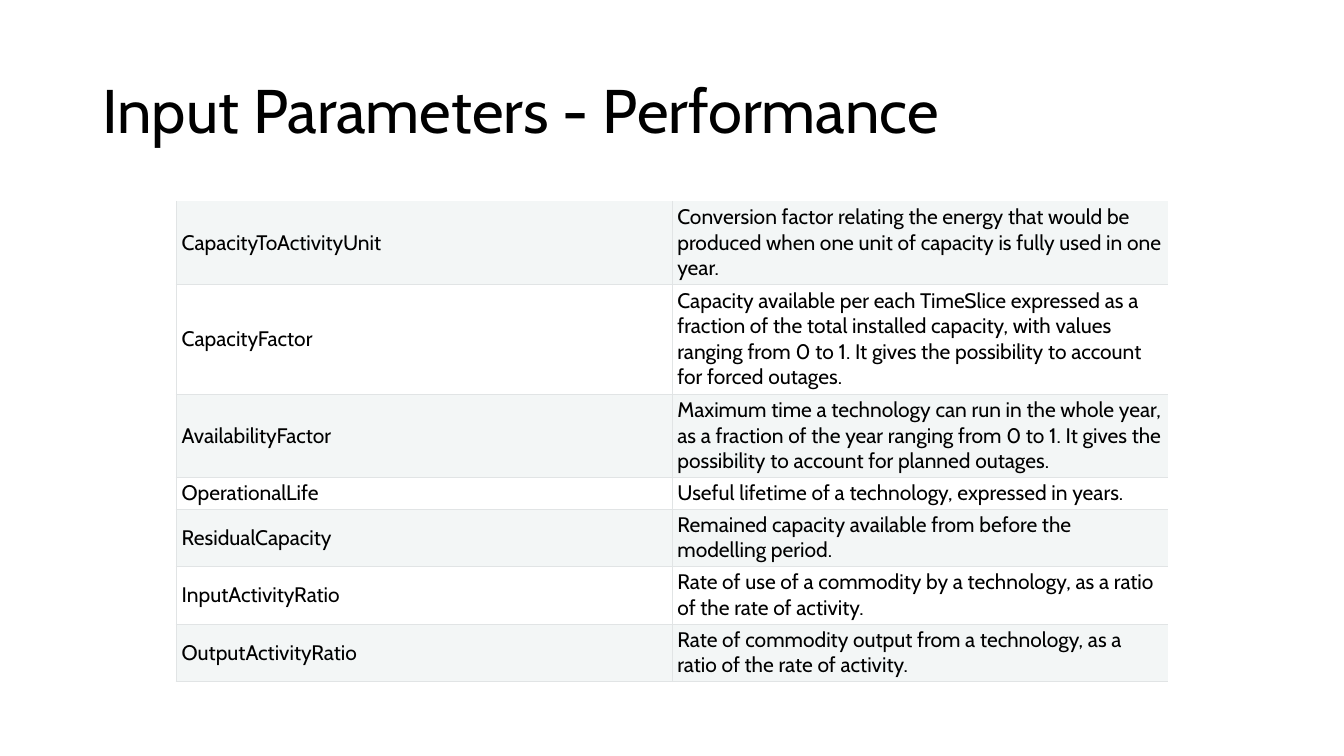
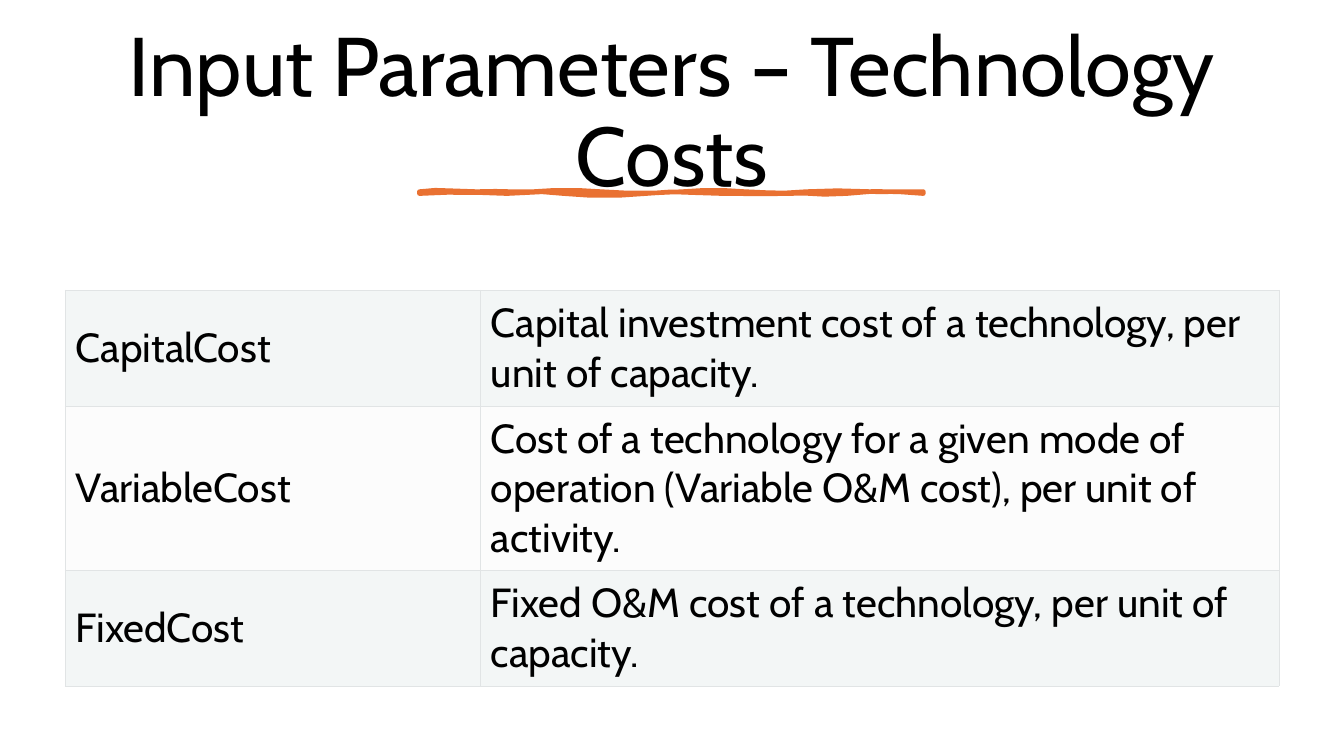
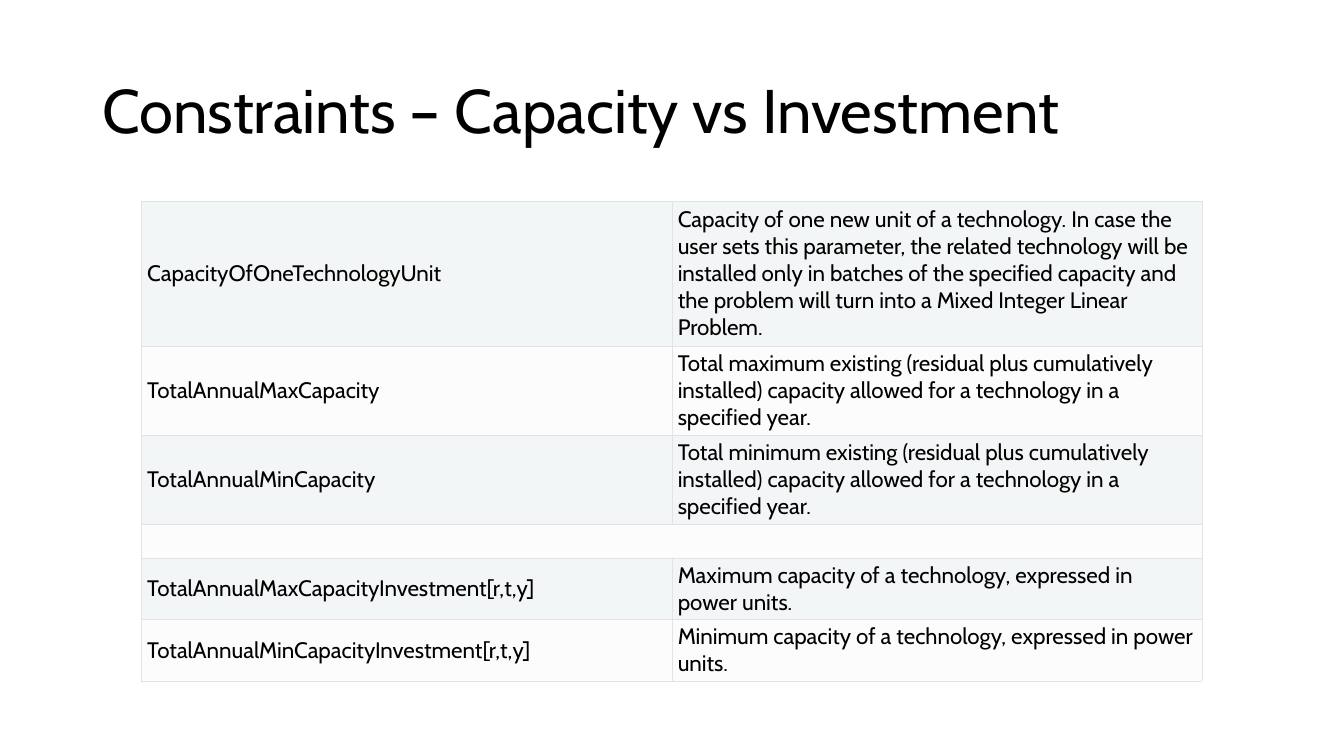
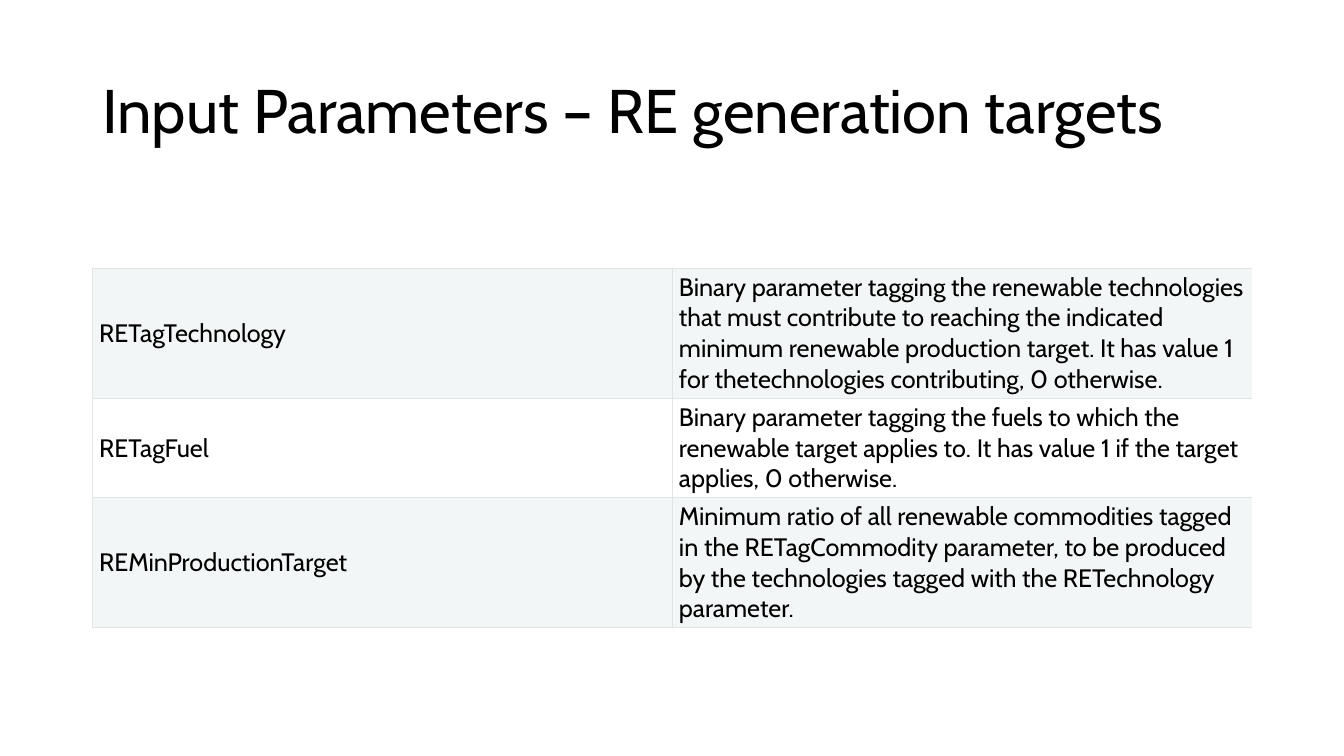
import pptx
import pptx.util
import pptx.dml.color
import pptx.enum.text
import pptx.oxml
import pptx.oxml.ns
from pptx.util import Cm

COLORS = {
    "text": "000000",
    "band": "F3F6F6",
    "plain": "FCFCFC",
    "border": "E1E4E5",
    "accent": "E97132",
}
FONT = "Cabin"
HAIRLINE = 0.3
NS = pptx.oxml.ns.nsdecls("a")
ALIGN = pptx.enum.text.PP_ALIGN
MIDDLE = pptx.enum.text.MSO_ANCHOR.MIDDLE

# Cubic curves in cm: a start point, then two controls and an end for each
UNDERLINE_TOP = [
    (10.57, 4.83),
    (10.87, 4.75), (11.53, 4.83), (12.01, 4.83),
    (12.5, 4.8), (12.93, 4.85), (13.44, 4.83),
    (13.94, 4.78), (14.58, 4.78), (15.14, 4.83),
    (15.67, 4.88), (16.59, 4.88), (17.2, 4.83),
    (17.83, 4.78), (18.14, 4.78), (18.77, 4.83),
    (19.38, 4.85), (19.66, 4.9), (20.32, 4.83),
    (20.98, 4.75), (22.02, 4.88), (23.27, 4.83),
]
UNDERLINE_BOTTOM = [
    (23.27, 4.88),
    (22.73, 4.83), (21.97, 4.78), (21.34, 4.88),
    (20.7, 4.95), (20.35, 4.83), (19.79, 4.88),
    (19.2, 4.9), (18.97, 4.88), (18.21, 4.88),
    (17.45, 4.88), (16.94, 4.78), (16.28, 4.88),
    (15.6, 4.95), (14.86, 4.95), (14.2, 4.88),
    (13.56, 4.78), (13.28, 4.88), (12.78, 4.88),
    (12.27, 4.85), (11.13, 4.83), (10.57, 4.88),
]


def rgb(name):
    return pptx.dml.color.RGBColor.from_string(COLORS[name])


def write(tf, text, size, color="text", align=ALIGN.LEFT, spacing=None):
    """Write one paragraph; empty text only sets the height of the line."""
    p = tf.paragraphs[0]
    if not text:
        p._p.append(pptx.oxml.parse_xml(
            f"<a:endParaRPr {NS} sz='{size * 100}'><a:latin typeface='{FONT}'/></a:endParaRPr>"))
        return
    p.alignment = align
    if spacing:
        p.line_spacing = spacing
    r = p.add_run()
    r.text = text
    r.font.name = FONT
    r.font.size = pptx.util.Pt(size)
    r.font.color.rgb = rgb(color)


def set_border(cell, side, width):
    """Draw one side (L, R, T or B) of a cell; no width means no line."""
    if width:
        attribute = f"w='{pptx.util.Pt(width)}'"
        fill = f"<a:solidFill><a:srgbClr val='{COLORS['border']}'/></a:solidFill>"
    else:
        attribute, fill = "", "<a:noFill/>"
    cell._tc.get_or_add_tcPr().append(pptx.oxml.parse_xml(
        f"<a:ln{side} {NS} {attribute}>{fill}</a:ln{side}>"))


def sample_curve(points, steps=3):
    """Turn a chain of cubic curves into points in EMU."""
    result = [points[0]]
    for i in range(0, len(points) - 1, 3):
        a, b, c, d = points[i:i + 4]
        for n in range(1, steps + 1):
            t = n / steps
            u = 1 - t
            result.append(tuple(
                u ** 3 * a[k] + 3 * u * u * t * b[k] + 3 * u * t * t * c[k] + t ** 3 * d[k]
                for k in (0, 1)))
    return [(Cm(x), Cm(y)) for x, y in result]


class Deck:
    def __init__(self):
        self.prs = pptx.Presentation()
        self.prs.slide_width, self.prs.slide_height = Cm(33.87), Cm(19.05)
        self.s = None

    def slide(self):
        self.s = self.prs.slides.add_slide(self.prs.slide_layouts[6])

    def title(self, text, box=(2.33, 1.01, 29.21, 3.68), size=44, align=ALIGN.LEFT):
        tf = self.s.shapes.add_textbox(*map(Cm, box)).text_frame
        tf.word_wrap = True
        tf.vertical_anchor = MIDDLE
        write(tf, text, size, align=align, spacing=0.9)

    def underline(self):
        start, *rest = sample_curve(UNDERLINE_TOP) + sample_curve(UNDERLINE_BOTTOM)
        builder = self.s.shapes.build_freeform(*start)
        builder.add_line_segments(rest, close=True)
        sp = builder.convert_to_shape()
        sp.shadow.inherit = False
        sp.fill.solid()
        sp.fill.fore_color.rgb = rgb("accent")
        sp.line.color.rgb = rgb("accent")
        sp.line.width = pptx.util.Pt(3.25)

    def table(self, left, top, widths, heights, rows, size, inset=(0.15, 0.08),
              fills=("band", "plain"), edges=(HAIRLINE,) * 4):
        """Fills alternate by row; edges are the outer lines: left, right, top, bottom.

        A row with a single text spans the whole width; a row of empty texts
        keeps only its bottom line.
        """
        frame = self.s.shapes.add_table(
            len(rows), len(widths), Cm(left), Cm(top), Cm(sum(widths)), Cm(sum(heights)))
        table = frame.table
        table.first_row = table.horz_banding = False
        for column, width in zip(table.columns, widths):
            column.width = Cm(width)
        last_row, last_col = len(rows) - 1, len(widths) - 1
        for i, (texts, height) in enumerate(zip(rows, heights)):
            table.rows[i].height = Cm(height)
            spans = len(texts) == 1
            if spans:
                table.cell(i, 0).merge(table.cell(i, last_col))
            open_row = not spans and not any(texts)
            fill = fills[i % 2]
            for j in range(len(widths)):
                cell = table.cell(i, j)
                outer = (j == 0, j == last_col, i == 0, i == last_row)
                for side, is_outer, width in zip("LRTB", outer, edges):
                    if open_row and side != "B":
                        width = None
                    elif not is_outer:
                        width = HAIRLINE
                    set_border(cell, side, width)
                if fill:
                    cell.fill.solid()
                    cell.fill.fore_color.rgb = rgb(fill)
                else:
                    cell.fill.background()
                cell.margin_left = cell.margin_right = Cm(inset[0])
                cell.margin_top = cell.margin_bottom = Cm(inset[1])
                cell.vertical_anchor = MIDDLE
                write(cell.text_frame, texts[j] if j < len(texts) else "", size)


def main():
    deck = Deck()

    deck.slide()
    deck.title("Input Parameters - Performance")
    deck.table(4.44, 5.06, [12.49, 12.5], [2.11, 2.75, 2.11, 0.79, 1.45, 1.45, 1.45], [
        ("CapacityToActivityUnit",
         "Conversion factor relating the energy that would be produced when one unit of "
         "capacity is fully used in one year."),
        ("CapacityFactor",
         "Capacity available per each TimeSlice expressed as a fraction of the total "
         "installed capacity, with values ranging from 0 to 1. It gives the possibility "
         "to account for forced outages."),
        ("AvailabilityFactor",
         "Maximum time a technology can run in the whole year, as a fraction of the year "
         "ranging from 0 to 1. It gives the possibility to account for planned outages."),
        ("OperationalLife", "Useful lifetime of a technology, expressed in years."),
        ("ResidualCapacity",
         "Remained capacity available from before the modelling period."),
        ("InputActivityRatio",
         "Rate of use of a commodity by a technology, as a ratio of the rate of activity."),
        ("OutputActivityRatio",
         "Rate of commodity output from a technology, as a ratio of the rate of activity."),
    ], size=15, inset=(0.14, 0.07), fills=("band", None), edges=(1, None, None, 1))

    deck.slide()
    deck.title("Input Parameters – Technology Costs", box=(1.77, 1.16, 30.31, 3.47),
               size=59.4, align=ALIGN.CENTER)
    deck.underline()
    deck.table(1.64, 7.31, [10.46, 20.13], [2.92, 4.14, 2.91], [
        ("CapitalCost", "Capital investment cost of a technology, per unit of capacity."),
        ("VariableCost",
         "Cost of a technology for a given mode of operation (Variable O&M cost), per "
         "unit of activity."),
        ("FixedCost", "Fixed O&M cost of a technology, per unit of capacity."),
    ], size=29, inset=(0.27, 0.13))

    deck.slide()
    deck.title("Constraints – Capacity vs Investment")
    existing = ("Total {} existing (residual plus cumulatively installed) capacity allowed "
                "for a technology in a specified year.")
    investment = "{} capacity of a technology, expressed in power units."
    deck.table(3.56, 5.08, [13.37] * 2, [3.64, 2.24, 2.24, 0.86, 1.55, 1.55], [
        ("CapacityOfOneTechnologyUnit",
         "Capacity of one new unit of a technology. In case the user sets this parameter, "
         "the related technology will be installed only in batches of the specified "
         "capacity and the problem will turn into a Mixed Integer Linear Problem."),
        ("TotalAnnualMaxCapacity", existing.format("maximum")),
        ("TotalAnnualMinCapacity", existing.format("minimum")),
        ("",),
        ("TotalAnnualMaxCapacityInvestment[r,t,y]", investment.format("Maximum")),
        ("TotalAnnualMinCapacityInvestment[r,t,y]", investment.format("Minimum")),
    ], size=16)

    deck.slide()
    deck.title("Input Parameters – RE generation targets")
    deck.table(2.33, 5.82, [14.61] * 2, [0.93, 3.29, 2.5, 3.28], [
        ("", ""),
        ("RETagTechnology",
         "Binary parameter tagging the renewable technologies that must contribute to "
         "reaching the indicated minimum renewable production target. It has value 1 for "
         "thetechnologies contributing, 0 otherwise."),
        ("RETagFuel",
         "Binary parameter tagging the fuels to which the renewable target applies to. It "
         "has value 1 if the target applies, 0 otherwise."),
        ("REMinProductionTarget",
         "Minimum ratio of all renewable commodities tagged in the RETagCommodity "
         "parameter, to be produced by the technologies tagged with the RETechnology "
         "parameter."),
    ], size=18, inset=(0.17, 0.08), fills=(None, "band"), edges=(1, None, None, 1))

    deck.prs.save("out.pptx")


if __name__ == "__main__":
    main()
